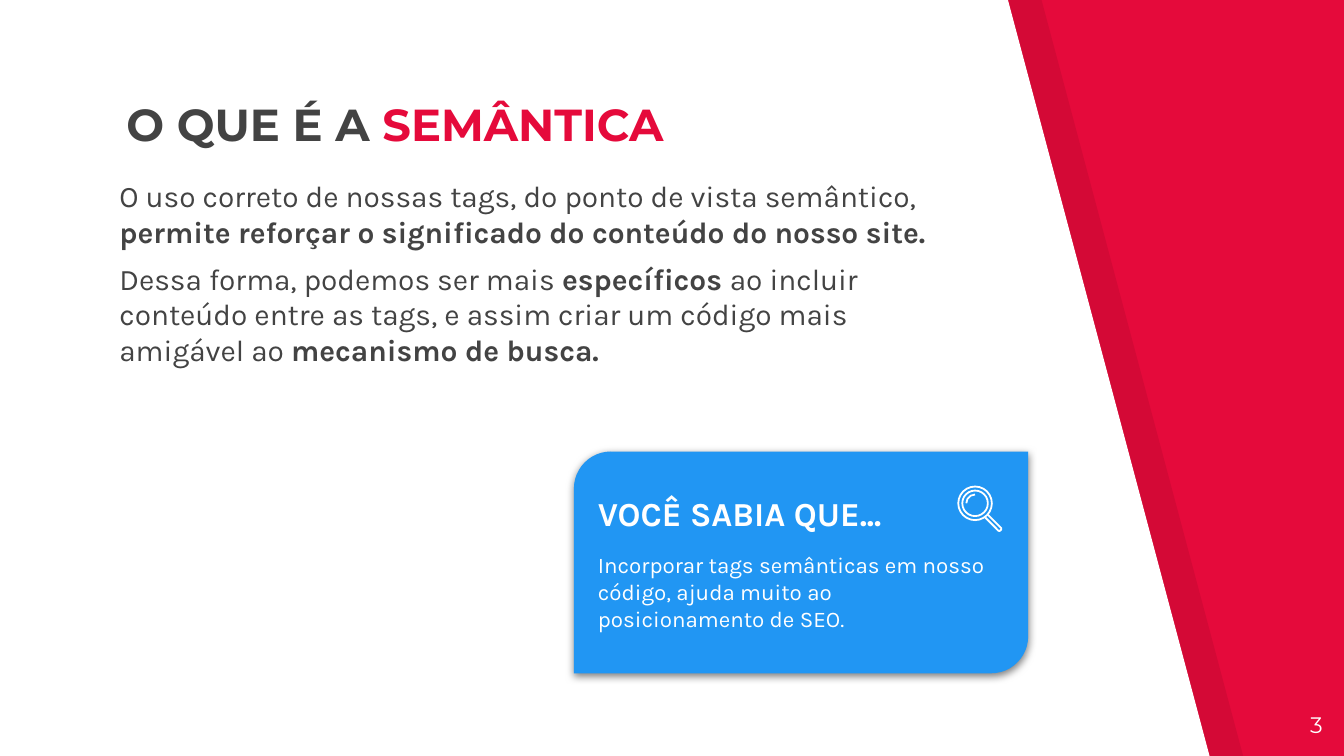
import pptx
import pptx.dml.color
import pptx.enum.shapes
import pptx.enum.text
import pptx.oxml
import pptx.oxml.ns
import pptx.util

Inches = pptx.util.Inches
Pt = pptx.util.Pt
RGB = pptx.dml.color.RGBColor
SHAPE = pptx.enum.shapes.MSO_SHAPE
ANCHOR = pptx.enum.text.MSO_ANCHOR
ALIGN = pptx.enum.text.PP_ALIGN

RED = RGB(0xE5, 0x0A, 0x3B)
BLACK = RGB(0, 0, 0)
WHITE = RGB(0xFF, 0xFF, 0xFF)
GREY = RGB(0x43, 0x43, 0x43)
BLUE = RGB(0x21, 0x96, 0xF3)

WIDE = Inches(10)
HIGH = WIDE * 9 // 16
TOP, FOOT = 0.75, 0.9  # where the slanted edge meets top and bottom
SHADE = 0.025          # width of the dark band beside the edge


def set_xml(parent, xml):
    """Append a DrawingML element to its parent."""
    name = pptx.oxml.ns.nsdecls("a")
    parent.append(pptx.oxml.parse_xml(xml.replace(" ", f" {name} ", 1)))


def add_panel(slide, left, color, alpha=100):
    """Full-height panel with a slanted right edge."""
    points = [(left, 0), (left + TOP, 0), (left + FOOT, 1), (left, 1)]
    points = [(round(x * WIDE), y * HIGH) for x, y in points]
    build = slide.shapes.build_freeform(*points[0])
    build.add_line_segments(points[1:], close=True)
    panel = build.convert_to_shape()
    panel.shadow.inherit = False
    panel.line.fill.background()
    panel.fill.solid()
    panel.fill.fore_color.rgb = color
    if alpha < 100:
        tint = panel.fill._xPr.find(".//" + pptx.oxml.ns.qn("a:srgbClr"))
        set_xml(tint, f'<a:alpha val="{alpha * 1000}"/>')


def place(shape, left, top, width, height):
    shape.left, shape.top = Inches(left), Inches(top)
    shape.width, shape.height = Inches(width), Inches(height)


def set_frame(shape, anchor):
    frame = shape.text_frame
    frame.word_wrap = True
    frame.auto_size = pptx.enum.text.MSO_AUTO_SIZE.NONE
    frame.vertical_anchor = anchor
    for side in ("left", "top", "right", "bottom"):
        setattr(frame, "margin_" + side, Inches(0.1))
    return frame


def add_text(frame, first, runs, face, size, color, before=0, align=ALIGN.LEFT):
    """Fill one paragraph; each run is (text, bold, own color or None)."""
    para = frame.paragraphs[0] if first else frame.add_paragraph()
    para.alignment = align
    para.space_before = Pt(before)
    para.font.name, para.font.size = face, Pt(size)
    para.font.color.rgb = color
    for text, bold, tint in runs:
        run = para.add_run()
        run.text = text
        run.font.bold = bold
        run.font.name, run.font.size = face, Pt(size)
        run.font.color.rgb = tint or color


def add_title(slide):
    title = slide.shapes.title
    slide.shapes._spTree.append(title._element)  # bring above the panels
    place(title, 0.84, 0.77, 5.25, 0.45)
    runs = [("O QUE É A ", True, None), ("SEMÂNTICA", True, RED)]
    add_text(set_frame(title, ANCHOR.BOTTOM), True, runs,
             "Montserrat", 24, GREY)


def add_box(slide, left, top, width, height):
    area = map(Inches, (left, top, width, height))
    return set_frame(slide.shapes.add_textbox(*area), ANCHOR.TOP)


def add_body(slide):
    frame = add_box(slide, 0.79, 1.22, 6.41, 1.72)
    paras = [
        [("O uso correto de nossas tags, do ponto de vista semântico, ", False),
         ("permite reforçar o significado do conteúdo do nosso site.", True)],
        [("Dessa forma, podemos ser mais ", False), ("específicos ", True),
         ("ao incluir conteúdo entre as tags, e assim criar um código mais "
          "amigável ao ", False), ("mecanismo de busca.", True)],
    ]
    for i, para in enumerate(paras):
        runs = [(text, bold, None) for text, bold in para]
        add_text(frame, i == 0, runs, "Karla", 16, GREY, before=6)


def add_card(slide):
    area = map(Inches, (4.27, 3.36, 3.38, 1.65))
    card = slide.shapes.add_shape(SHAPE.ROUND_2_DIAG_RECTANGLE, *area)
    card.adjustments[0], card.adjustments[1] = 0.167, 0
    card.fill.solid()
    card.fill.fore_color.rgb = BLUE
    card.line.fill.background()
    set_xml(card._element.spPr,
            f'<a:effectLst ><a:outerShdw blurRad="{Pt(4.5)}" dist="{Pt(1.5)}"'
            ' dir="5400000" algn="bl" rotWithShape="0"><a:srgbClr val="000000">'
            '<a:alpha val="50000"/></a:srgbClr></a:outerShdw></a:effectLst>')
    frame = set_frame(card, ANCHOR.MIDDLE)
    add_text(frame, True, [("VOCÊ SABIA QUE...", True, None)],
             "Karla", 18, WHITE)
    fact = ("Incorporar tags semânticas em nosso código, "
            "ajuda muito ao posicionamento de SEO.")
    add_text(frame, False, [(fact, False, None)], "Karla", 12, WHITE, before=10)


def draw(shape):
    """White outline without fill."""
    shape.shadow.inherit = False
    shape.fill.background()
    shape.line.color.rgb = WHITE
    shape.line.width = Pt(0.96)


def add_lens(slide):
    group = slide.shapes.add_group_shape()
    # Rim, glass and glint share one centre
    for kind, size in ((SHAPE.OVAL, 0.25), (SHAPE.OVAL, 0.19),
                       (SHAPE.ARC, 0.13)):
        area = (7.255 - size / 2, 3.745 - size / 2, size, size)
        ring = group.shapes.add_shape(kind, *map(Inches, area))
        if kind == SHAPE.ARC:
            ring.adjustments[0], ring.adjustments[1] = 108, 162
        draw(ring)
    # Handle
    points = [(7.33, 3.85), (7.43, 3.95), (7.44, 3.95), (7.45, 3.94),
              (7.45, 3.93), (7.35, 3.83)]
    points = [(Inches(x), Inches(y)) for x, y in points]
    build = group.shapes.build_freeform(*points[0])
    build.add_line_segments(points[1:], close=False)
    draw(build.convert_to_shape())


def main():
    deck = pptx.Presentation()
    deck.slide_width, deck.slide_height = WIDE, HIGH
    slide = deck.slides.add_slide(deck.slide_layouts[5])
    # Background
    slide.background.fill.solid()
    slide.background.fill.fore_color.rgb = RED
    add_panel(slide, SHADE, BLACK, alpha=7)
    add_panel(slide, 0, WHITE)
    # Text
    add_title(slide)
    add_body(slide)
    page = add_box(slide, 9.34, 5.19, 0.6, 0.43)
    add_text(page, True, [("3", False, None)], "Montserrat", 12, WHITE,
             align=ALIGN.RIGHT)
    # Callout
    add_card(slide)
    add_lens(slide)
    deck.save("out.pptx")


main()
